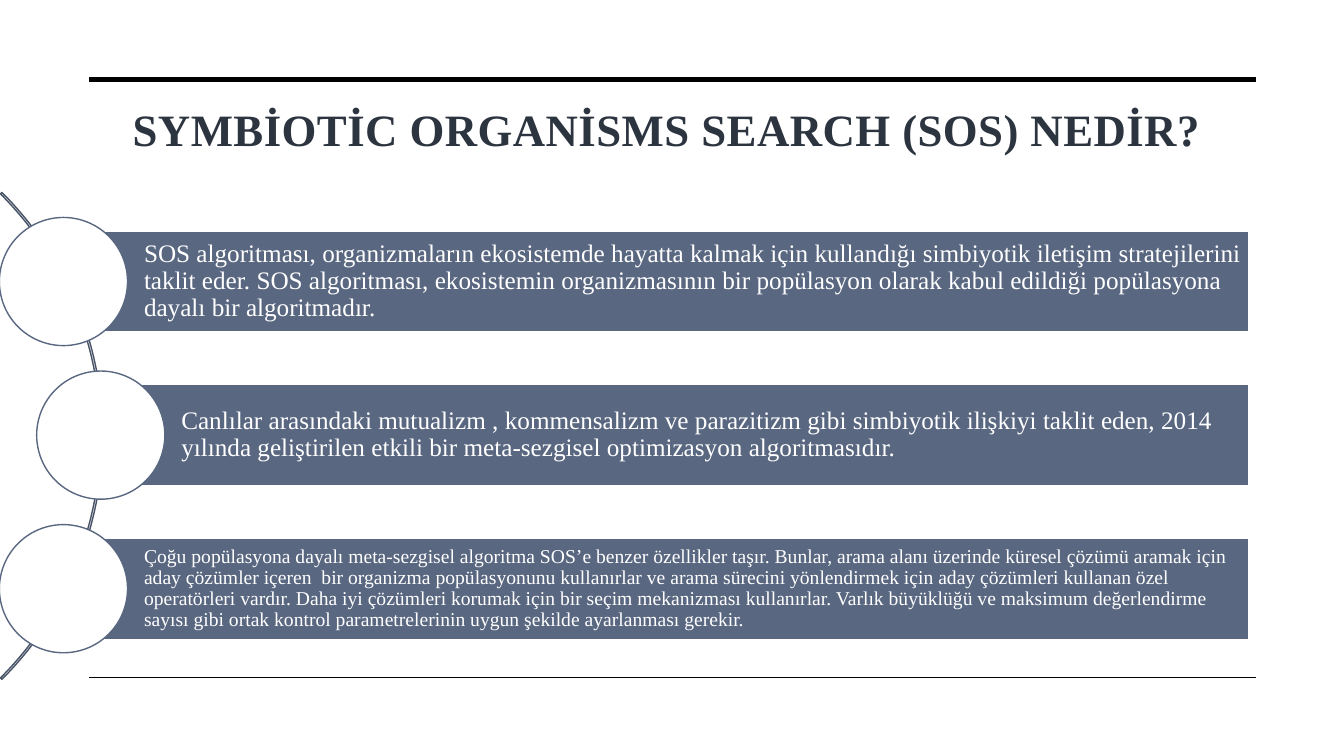
import pptx
import pptx.util
import pptx.dml.color
import pptx.enum.shapes
import pptx.enum.text
import pptx.oxml.ns
import lxml.etree

TITLE = "SYMBİOTİC ORGANİSMS SEARCH (SOS) NEDİR?"
POINTS = [
    {"left": 1.6, "size": 18, "inset": 0.12,
     "text": "SOS algoritması, organizmaların ekosistemde hayatta kalmak için kullandığı simbiyotik iletişim stratejilerini taklit eder. SOS algoritması, ekosistemin organizmasının bir popülasyon olarak kabul edildiği popülasyona dayalı bir algoritmadır."},
    {"left": 2.54, "size": 18, "inset": 0.12,
     "text": "Canlılar arasındaki mutualizm , kommensalizm ve parazitizm gibi simbiyotik ilişkiyi taklit eden, 2014 yılında geliştirilen etkili bir meta-sezgisel optimizasyon algoritmasıdır."},
    {"left": 1.6, "size": 14, "inset": 0.09,
     "text": "Çoğu popülasyona dayalı meta-sezgisel algoritma SOS’e benzer özellikler taşır. Bunlar, arama alanı üzerinde küresel çözümü aramak için aday çözümler içeren  bir organizma popülasyonunu kullanırlar ve arama sürecini yönlendirmek için aday çözümleri kullanan özel operatörleri vardır. Daha iyi çözümleri korumak için bir seçim mekanizması kullanırlar. Varlık büyüklüğü ve maksimum değerlendirme sayısı gibi ortak kontrol parametrelerinin uygun şekilde ayarlanması gerekir."},
]
RULES = [(2.0, 3.5), (17.07, 1)]
RULE_LEFT, RULE_RIGHT = 2.24, 31.65
BAR_TOP, BAR_PITCH, BAR_HEIGHT, BAR_RIGHT = 5.82, 3.87, 2.55, 31.47
CIRCLE_SIZE = 3.23
TEXT_INDENT = 2.03
ARC_LEFT, ARC_TOP, ARC_SIZE = -14.76, 2.31, 17.35
FONT = "Times New Roman"

Cm = pptx.util.Cm
Pt = pptx.util.Pt
SHAPES = pptx.enum.shapes.MSO_SHAPE


def color(value):
    return pptx.dml.color.RGBColor.from_string(value)


def add_shape(slide, kind, left, top, width, height, fill, line):
    shape = slide.shapes.add_shape(kind, Cm(left), Cm(top), Cm(width), Cm(height))
    shape.shadow.inherit = False
    if fill:
        shape.fill.solid()
        shape.fill.fore_color.rgb = color(fill)
    else:
        shape.fill.background()
    shape.line.color.rgb = color(line)
    shape.line.width = Pt(1)
    return shape


def add_rule(slide, top, weight):
    rule = slide.shapes.add_connector(
        pptx.enum.shapes.MSO_CONNECTOR.STRAIGHT,
        Cm(RULE_LEFT), Cm(top), Cm(RULE_RIGHT), Cm(top))
    rule.line.color.rgb = color("000000")
    rule.line.width = Pt(weight)
    lxml.etree.SubElement(rule._element.spPr, pptx.oxml.ns.qn("a:effectLst"))


def write(shape, text, size, text_color, alignment, insets):
    frame = shape.text_frame
    frame.word_wrap = True
    frame.vertical_anchor = pptx.enum.text.MSO_ANCHOR.MIDDLE
    frame.margin_left, frame.margin_top, frame.margin_right, frame.margin_bottom = map(Cm, insets)
    paragraph = frame.paragraphs[0]
    paragraph.alignment = alignment
    paragraph.line_spacing = 0.9
    run = paragraph.add_run()
    run.text = text
    run.font.name = FONT
    run.font.size = Pt(size)
    run.font.color.rgb = color(text_color)
    return run


def add_point(slide, index, point):
    left = point["left"]
    top = BAR_TOP + index * BAR_PITCH
    bar = add_shape(slide, SHAPES.RECTANGLE, left, top, BAR_RIGHT - left, BAR_HEIGHT,
                    "596781", "FFFFFF")
    inset = point["inset"]
    write(bar, point["text"], point["size"], "FFFFFF",
          pptx.enum.text.PP_ALIGN.LEFT, (TEXT_INDENT, inset, inset, inset))
    add_shape(slide, SHAPES.OVAL, left - CIRCLE_SIZE / 2,
              top + (BAR_HEIGHT - CIRCLE_SIZE) / 2, CIRCLE_SIZE, CIRCLE_SIZE,
              "FFFFFF", "596781")


def main():
    presentation = pptx.Presentation()
    presentation.slide_width = Cm(33.87)
    presentation.slide_height = Cm(19.05)
    slide = presentation.slides.add_slide(presentation.slide_layouts[6])

    title = slide.shapes.add_textbox(Cm(1.96), Cm(2.51), Cm(29.69), Cm(1.65))
    run = write(title, TITLE, 32, "2C3440", pptx.enum.text.PP_ALIGN.CENTER,
                (0.25, 0.13, 0.25, 0.13))
    run.font.bold = True
    run._r.get_or_add_rPr().set("spc", "30")

    for top, weight in RULES:
        add_rule(slide, top, weight)

    arc = add_shape(slide, SHAPES.BLOCK_ARC, ARC_LEFT, ARC_TOP, ARC_SIZE, ARC_SIZE,
                    None, "475267")
    for index, value in enumerate((189, 27, 0.003)):
        arc.adjustments[index] = value

    for index, point in enumerate(POINTS):
        add_point(slide, index, point)

    presentation.save("out.pptx")


if __name__ == "__main__":
    main()
